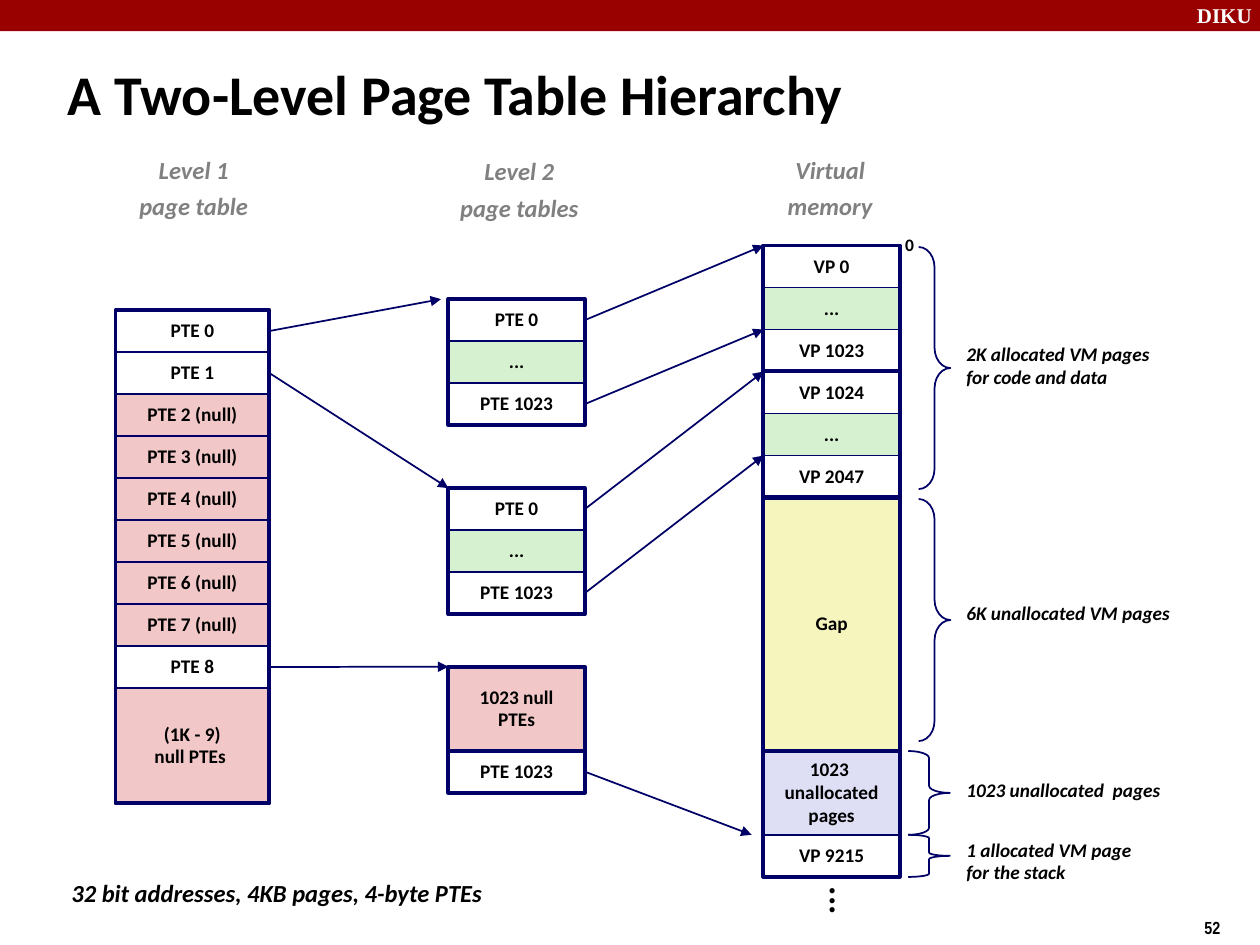
"""Build a slide on a two-level page table hierarchy."""
from pptx import Presentation
from pptx.dml.color import RGBColor
from pptx.enum.shapes import MSO_CONNECTOR, MSO_SHAPE
from pptx.enum.text import MSO_ANCHOR, PP_ALIGN
from pptx.oxml.ns import qn
from pptx.util import Cm, Pt
from lxml import etree

RECT, BRACE = MSO_SHAPE.RECTANGLE, MSO_SHAPE.RIGHT_BRACE
STRAIGHT = MSO_CONNECTOR.STRAIGHT
TOP, MID = MSO_ANCHOR.TOP, MSO_ANCHOR.MIDDLE
LEFT, CENTER = PP_ALIGN.LEFT, PP_ALIGN.CENTER

HUES = {
    "band": "990000", "navy": "000066", "black": "000000", "white": "FFFFFF",
    "gray": "808080", "green": "D5F1CF", "pink": "F1C7C7",
    "yellow": "F6F5BD", "lilac": "DEDFF5",
}
ROW = 2.54 / 3

def span(first, last):
    return [(first, None, 1), ("...", "green", 1), (last, None, 1)]

PAIR = span("PTE 0", "PTE 1023")
NULLS = [(f"PTE {n} (null)", "pink", 1) for n in range(2, 8)]
STACKS = {
    "first": (2.33, 6.25, 3.1, [
        [("PTE 0", None, 1), ("PTE 1", None, 1), *NULLS,
         ("PTE 8", None, 1), ("(1K - 9)\nnull PTEs ", "pink", 2.75)]]),
    "code": (9.04, 6.03, 2.75, [PAIR]),
    "data": (9.04, 9.84, 2.75, [PAIR]),
    "stack": (9.04, 13.44, 2.75, [
        [("1023 null\nPTEs", "pink", 2)], [("PTE 1023", None, 1)]]),
    "pages": (15.39, 4.95, 2.75, [
        span("VP 0", "VP 1023"), span("VP 1024", "VP 2047"),
        [("Gap", "yellow", 6.03)],
        [("1023 \nunallocated\npages", "lilac", 2), ("VP 9215", None, 1)]]),
}
ARROWS = [
    ("first", 0, "code", 0, 0.15), ("first", 1, "data", 0, 0),
    ("first", 8, "stack", 0, 0), ("code", 0, "pages", 0, 0),
    ("code", 2, "pages", 2, 0), ("data", 0, "pages", 3, 0),
    ("data", 2, "pages", 5, 0), ("stack", 2, "pages", 14.03, 0.24),
]
BRACES = [
    (18.52, 4.98, 0.64, 4.88, 0.64), (18.52, 10.06, 0.64, 4.88, 0.64),
    (18.31, 15.14, 0.84, 1.69, 0.17), (18.31, 16.83, 0.84, 0.85, 0.08),
]
HEADS = [
    ("Level 1\npage table", 2.24, 3.07, 3.33),
    ("Level 2\npage tables", 8.69, 3.1, 3.56),
    ("Virtual\nmemory", 16.28 - 0.89, 3.07, 2.69),
]
NOTES = [
    ("2K allocated VM pages\nfor code and data", 6.68, 5.21, 1.42),
    ("6K unallocated VM pages", 11.96, 5.74, 0.84),
    ("1023 unallocated  pages", 15.52, 5.49, 0.84),
    ("1 allocated VM page\nfor the stack", 16.66, 4.75, 1.42),
]

deck = Presentation()
deck.slide_width, deck.slide_height = Cm(25.4), Cm(19.05)
slide = deck.slides.add_slide(deck.slide_layouts[6])
shapes = slide.shapes

def hue(name):
    return RGBColor.from_string(HUES[name])

def write(item, text, size=11, color="black", font="Calibri", italic=False,
          align=LEFT, anchor=TOP, wrap=False, lead=None, gap=0):
    frame = item.text_frame
    frame.word_wrap = wrap
    frame.vertical_anchor = anchor
    for i, line in enumerate(text.split("\n")):
        para = frame.paragraphs[0] if i == 0 else frame.add_paragraph()
        para.alignment = align
        para.line_spacing = lead
        if i and gap:
            para.space_before = Pt(gap)
        run = para.add_run()
        run.text = line
        run.font.name, run.font.size = font, Pt(size)
        run.font.bold, run.font.italic = True, italic
        run.font.color.rgb = hue(color)

def label(text, x, y, w, h, **kind):
    box = shapes.add_textbox(Cm(x), Cm(y), Cm(w), Cm(h))
    write(box, text, **kind)
    return box

def draw(form, x, y, w, h, fill=None, width=1.0, edge="navy"):
    item = shapes.add_shape(form, Cm(x), Cm(y), Cm(w), Cm(h))
    item.shadow.inherit = False
    if fill:
        item.fill.solid()
        item.fill.fore_color.rgb = hue(fill)
    else:
        item.fill.background()
    if edge:
        item.line.color.rgb = hue(edge)
        item.line.width = Pt(width)
    else:
        item.line.fill.background()
    return item

def pile(x, y, w, groups):
    for cells in groups:
        start = y
        for text, fill, rows in cells:
            cell = draw(RECT, x, y, w, rows * ROW, fill)
            write(cell, text, align=CENTER, anchor=MID, lead=0.98)
            y += rows * ROW
        draw(RECT, x, start, w, y - start, width=2.25)

def arrow(src, row, dest, edge, gap):
    x, y, w, _ = STACKS[src]
    left, top, *_ = STACKS[dest]
    line = shapes.add_connector(
        STRAIGHT, Cm(x + w), Cm(y + (row + 0.5) * ROW),
        Cm(left - gap), Cm(top + edge * ROW))
    line.line.color.rgb = hue("navy")
    line.line.width = Pt(1)
    props = line._element.spPr
    etree.SubElement(props.find(qn("a:ln")), qn("a:tailEnd"), type="triangle")
    etree.SubElement(props, qn("a:effectLst"))

draw(RECT, 0, 0, 25.4, 0.63, "band", edge=None)
label("DIKU", 23.88, -0.08, 1.7, 0.76, size=12, color="white",
      font="Times New Roman", wrap=True)
label("52", 24.03, 18.36, 1.9, 0.69, size=10, font="Arial Narrow")
label("A Two-Level Page Table Hierarchy", 1.12, 0.79, 23.01, 2.18,
      size=32, anchor=MID, wrap=True)
for text, x, y, w in HEADS:
    label(text, x, y, w, 1.88, size=14, color="gray", italic=True,
          align=CENTER, lead=0.88, gap=6)
for stack in STACKS.values():
    pile(*stack)
for link in ARROWS:
    arrow(*link)
for *place, bend in BRACES:
    draw(BRACE, *place).adjustments[0] = bend
for text, y, w, h in NOTES:
    label(text, 19.23, y, w, h, italic=True, anchor=MID, lead=0.98)
label("0", 17.98, 4.57, 0.71, 0.76, size=10, align=CENTER, anchor=MID,
      lead=0.98)
label("...", 16.28, 17.86, 1.4, 0.94, size=20, lead=0.88).rotation = 90
label("32 bit addresses, 4KB pages, 4-byte PTEs", 1.19, 17.58, 11.13, 1.02,
      size=14, italic=True)
deck.save("out.pptx")
